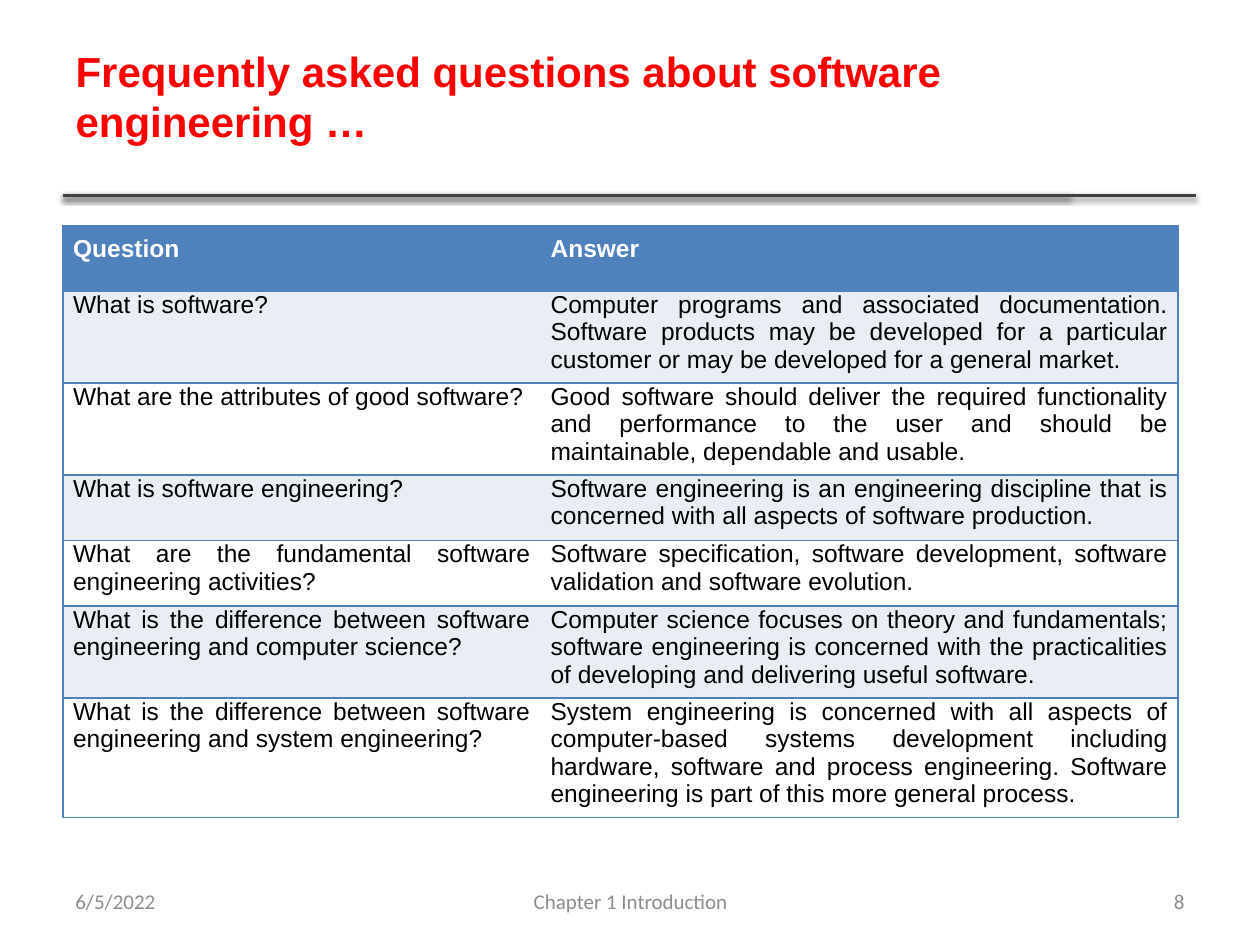
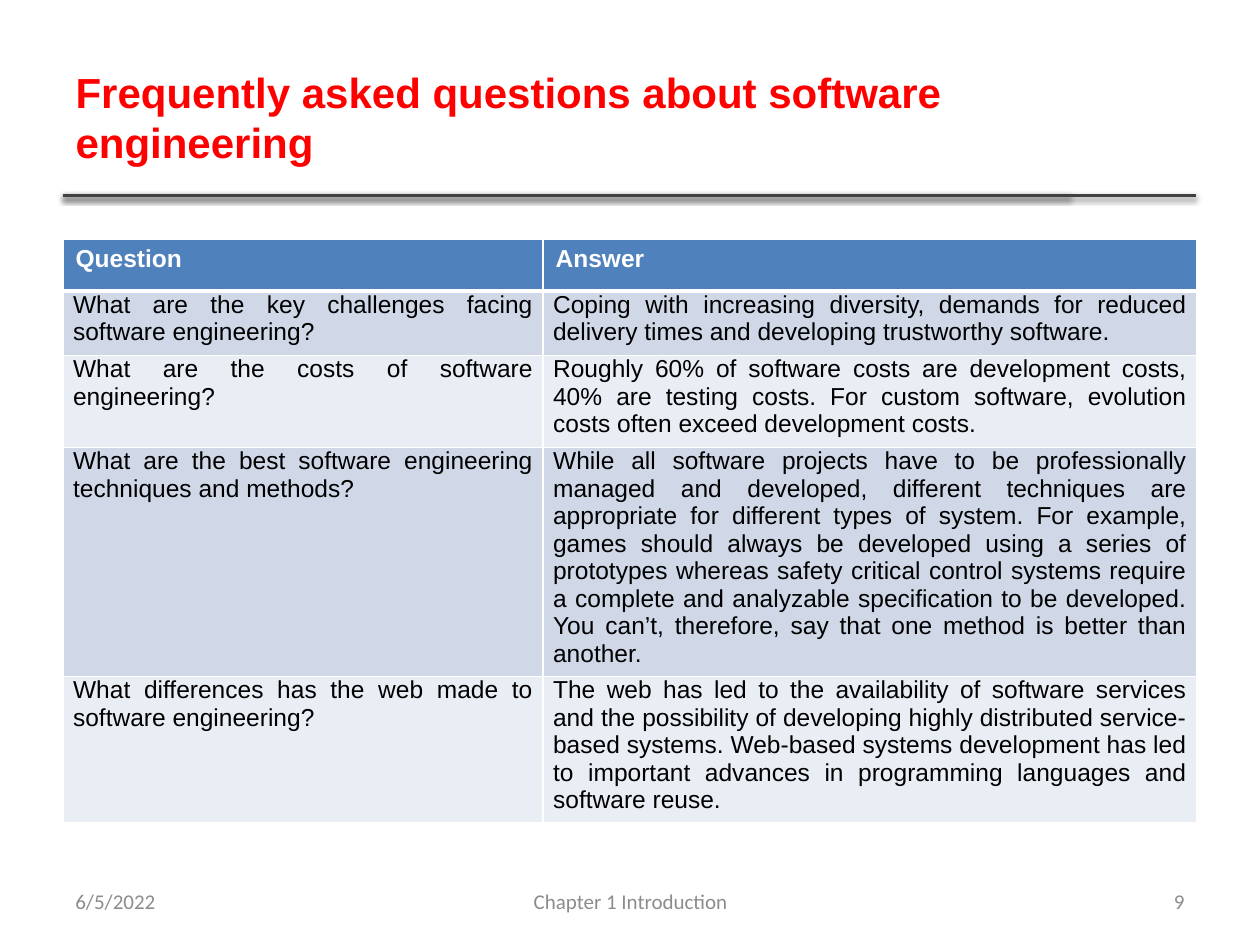
from lxml.etree import SubElement
from pptx import Presentation
from pptx.dml.color import RGBColor
from pptx.enum.shapes import MSO_CONNECTOR
from pptx.enum.text import MSO_ANCHOR, MSO_AUTO_SIZE, PP_ALIGN
from pptx.oxml.ns import qn
from pptx.util import Inches, Pt

RED, BLUE, WHITE, BLACK = "FF0000", "4F81BD", "FFFFFF", "000000"
DARK, GREY, PALE, MID = "404040", "8C8C8C", "E9EDF4", "D0D8E8"
LEFT = 0.5
RULE_TOP = 1.55
RULE_ENDS = (8.49, 9.49)
DATE, CHAPTER = "6/5/2022", "Chapter 1 Introduction"
HEADINGS = ("Question", "Answer")
BODY_INSETS = (0.08, 0, 0.08, 0.07)

SLIDES = [
    {
        "number": 8,
        "title": "Frequently asked questions about software engineering …",
        "title_size": (8.41, 1.29),
        "title_bottom_inset": 0.42,
        "top": 1.79,
        "columns": (3.79, 5.06),
        "rows": (0.52, 0.73, 0.73, 0.52, 0.52, 0.73, 0.95),
        "header_insets": (0.08, 0.08, 0.08, 0.08),
        "stripes": (PALE, WHITE),
        "border": BLUE,
        "inner_verticals": False,
        "header_rule": 1,
        "faq": [
            ("What is software?",
             "Computer programs and associated documentation. Software products may be developed "
             "for a particular customer or may be developed for a general market."),
            ("What are the attributes of good software?",
             "Good software should deliver the required functionality and performance to the user "
             "and should be maintainable, dependable and usable."),
            ("What is software engineering?",
             "Software engineering is an engineering discipline that is concerned with all aspects "
             "of software production."),
            ("What are the fundamental software engineering activities?",
             "Software specification, software development, software validation and software evolution."),
            ("What is the difference between software engineering and computer science?",
             "Computer science focuses on theory and fundamentals; software engineering is concerned "
             "with the practicalities of developing and delivering useful software."),
            ("What is the difference between software engineering and system engineering?",
             "System engineering is concerned with all aspects of computer-based systems development "
             "including hardware, software and process engineering. Software engineering is part of "
             "this more general process."),
        ],
    },
    {
        "number": 9,
        "title": "Frequently asked questions about software engineering",
        "title_size": (7.98, 1.25),
        "title_bottom_inset": 0.05,
        "top": 1.9,
        "columns": (3.81, 5.19),
        "rows": (0.41, 0.51, 0.73, 1.82, 1.16),
        "header_insets": (0.1, 0.05, 0.1, 0.05),
        "stripes": (MID, PALE),
        "border": WHITE,
        "inner_verticals": True,
        "header_rule": 3,
        "faq": [
            ("What are the key challenges facing software engineering?",
             "Coping with increasing diversity, demands for reduced delivery times and developing "
             "trustworthy software."),
            ("What are the costs of software engineering?",
             "Roughly 60% of software costs are development costs, 40% are testing costs. For custom "
             "software, evolution costs often exceed development costs."),
            ("What are the best software engineering techniques and methods?",
             "While all software projects have to be professionally managed and developed, different "
             "techniques are appropriate for different types of system. For example, games should "
             "always be developed using a series of prototypes whereas safety critical control systems "
             "require a complete and analyzable specification to be developed. You can’t, therefore, "
             "say that one method is better than another."),
            ("What differences has the web made to software engineering?",
             "The web has led to the availability of software services and the possibility of developing "
             "highly distributed service-based systems. Web-based systems development has led to "
             "important advances in programming languages and software reuse."),
        ],
    },
]


def color(value):
    return RGBColor.from_string(value)


def write(frame, text, *, size, font, fill, bold=False, align=PP_ALIGN.LEFT):
    para = frame.paragraphs[0]
    para.alignment = align
    span = para.add_run()
    span.text = text
    span.font.size = Pt(size)
    span.font.name = font
    span.font.bold = bold
    span.font.color.rgb = color(fill)


def add_color(parent, value, opacity=None):
    element = SubElement(parent, qn("a:srgbClr"), val=value)
    if opacity is not None:
        SubElement(element, qn("a:alpha"), val=str(opacity * 1000))


def add_title(page, content):
    title = page.shapes.title
    title.left, title.top = Inches(LEFT), Inches(0.3)
    title.width, title.height = (Inches(length) for length in content["title_size"])
    frame = title.text_frame
    frame.auto_size = MSO_AUTO_SIZE.NONE
    frame.word_wrap = True
    frame.vertical_anchor = MSO_ANCHOR.MIDDLE
    frame.margin_bottom = Inches(content["title_bottom_inset"])
    write(frame, content["title"], size=24, font="Arial", fill=RED, bold=True)


def add_rules(page):
    for end in RULE_ENDS:
        rule = page.shapes.add_connector(MSO_CONNECTOR.STRAIGHT, Inches(LEFT), Inches(RULE_TOP),
                                         Inches(end), Inches(RULE_TOP))
        rule.line.color.rgb = color(DARK)
        rule.line.width = Pt(2)
        effects = SubElement(rule._element.spPr, qn("a:effectLst"))
        shadow = SubElement(effects, qn("a:outerShdw"), blurRad=str(Pt(3.1)), dist=str(Pt(1.6)),
                            dir="5400000", rotWithShape="0")
        add_color(shadow, BLACK, 38)


def add_footers(page, number):
    footers = [
        (CHAPTER, 3.42, 3.17, PP_ALIGN.CENTER),
        (DATE, LEFT, 2.33, PP_ALIGN.LEFT),
        (str(number), 7.17, 2.33, PP_ALIGN.RIGHT),
    ]
    for text, left, width, align in footers:
        box = page.shapes.add_textbox(Inches(left), Inches(6.95), Inches(width), Inches(0.4))
        frame = box.text_frame
        frame.word_wrap = True
        frame.vertical_anchor = MSO_ANCHOR.MIDDLE
        write(frame, text, size=12, font="Calibri", fill=GREY, align=align)


def set_borders(cell, border, widths):
    properties = cell._tc.get_or_add_tcPr()
    for side in "LRTB":
        line = SubElement(properties, qn(f"a:ln{side}"), w=str(Pt(widths[side])))
        if widths[side]:
            add_color(SubElement(line, qn("a:solidFill")), border)
        else:
            SubElement(line, qn("a:noFill"))


def add_faq(page, content):
    entries = [HEADINGS] + content["faq"]
    columns, rows = content["columns"], content["rows"]
    table = page.shapes.add_table(len(rows), len(columns), Inches(LEFT), Inches(content["top"]),
                                  Inches(sum(columns)), Inches(sum(rows))).table
    for column, width in zip(table.columns, columns):
        column.width = Inches(width)
    for row, height in zip(table.rows, rows):
        row.height = Inches(height)
    inner = 1 if content["inner_verticals"] else 0
    for i, entry in enumerate(entries):
        header = i == 0
        fill = BLUE if header else content["stripes"][(i - 1) % 2]
        insets = content["header_insets"] if header else BODY_INSETS
        for j, text in enumerate(entry):
            cell = table.cell(i, j)
            set_borders(cell, content["border"], {
                "L": 1 if j == 0 else inner,
                "R": 1 if j == len(columns) - 1 else inner,
                "T": content["header_rule"] if i == 1 else 1,
                "B": content["header_rule"] if header else 1,
            })
            cell.fill.solid()
            cell.fill.fore_color.rgb = color(fill)
            cell.margin_left, cell.margin_top, cell.margin_right, cell.margin_bottom = (
                Inches(inset) for inset in insets)
            write(cell.text_frame, text, size=14, font="Arial", fill=WHITE if header else BLACK,
                  bold=header, align=PP_ALIGN.LEFT if header else PP_ALIGN.JUSTIFY)


def main():
    deck = Presentation()
    deck.slide_width, deck.slide_height = Inches(10), Inches(7.5)
    for content in SLIDES:
        page = deck.slides.add_slide(deck.slide_layouts[5])
        add_rules(page)
        add_title(page, content)
        add_faq(page, content)
        add_footers(page, content["number"])
    deck.save("out.pptx")


if __name__ == "__main__":
    main()
